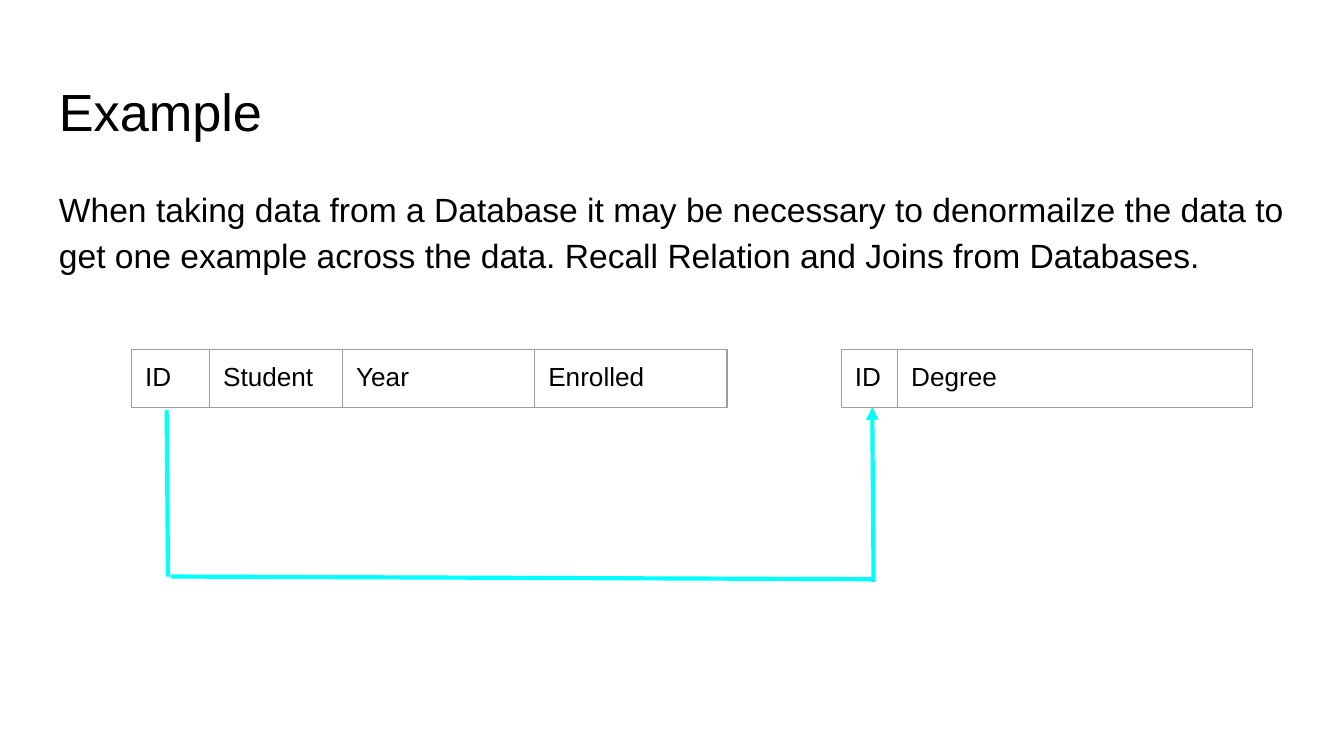
from lxml.etree import SubElement
from pptx import Presentation
from pptx.dml.color import RGBColor
from pptx.enum.shapes import MSO_CONNECTOR
from pptx.oxml.ns import qn
from pptx.util import Inches, Pt

COLORS = {"text": "000000", "border": "9E9E9E", "join": "00FFFF"}
FONT = "Arial"
MARGIN = 0.1
TABLE_TOP, ROW_HEIGHT = 2.6, 0.42

TEXTS = [
    ("Example", 28, 1, (0.34, 0.49, 9.32, 0.63)),
    ("When taking data from a Database it may be necessary to denormailze the data to "
     "get one example across the data. Recall Relation and Joins from Databases.",
     18, 1.15, (0.34, 1.26, 9.32, 3.74)),
]
TABLES = [
    (0.98, [("ID", 0.58), ("Student", 0.99), ("Year", 1.43), ("Enrolled", 1.43)]),
    (6.26, [("ID", 0.42), ("Degree", 2.64)]),
]
JOIN_LINES = [
    ((6.5, 4.33), (6.49, 3.03), True),
    ((1.24, 3.05), (1.25, 4.29), False),
    ((6.5, 4.31), (1.27, 4.29), False),
]


def set_text(frame, text, size, spacing=1):
    frame.text = text
    para = frame.paragraphs[0]
    para.line_spacing = spacing
    font = para.runs[0].font
    font.name, font.size = FONT, Pt(size)
    font.color.rgb = RGBColor.from_string(COLORS["text"])


def set_margins(target):
    target.margin_left = target.margin_right = Inches(MARGIN)
    target.margin_top = target.margin_bottom = Inches(MARGIN)


def add_text(slide, text, size, spacing, place):
    box = slide.shapes.add_textbox(*map(Inches, place))
    box.text_frame.word_wrap = True
    set_margins(box.text_frame)
    set_text(box.text_frame, text, size, spacing)


def add_borders(cell):
    properties = cell._tc.get_or_add_tcPr()
    for position, side in enumerate(("a:lnL", "a:lnR", "a:lnT", "a:lnB")):
        border = SubElement(properties, qn(side), w=str(Pt(0.75)))
        properties.remove(border)
        properties.insert(position, border)
        fill = SubElement(border, qn("a:solidFill"))
        SubElement(fill, qn("a:srgbClr"), val=COLORS["border"])


def add_relation(slide, left, fields):
    width = sum(field_width for _, field_width in fields)
    place = map(Inches, (left, TABLE_TOP, width, ROW_HEIGHT))
    table = slide.shapes.add_table(1, len(fields), *place).table
    table.first_row = table.horz_banding = False
    for column, (name, field_width) in enumerate(fields):
        table.columns[column].width = Inches(field_width)
        cell = table.cell(0, column)
        set_margins(cell)
        set_text(cell.text_frame, name, 14)
        cell.fill.background()
        add_borders(cell)


def add_join_line(slide, start, end, arrow):
    connector = slide.shapes.add_connector(
        MSO_CONNECTOR.STRAIGHT, *map(Inches, start + end))
    connector.line.width = Pt(2.25)
    connector.line.color.rgb = RGBColor.from_string(COLORS["join"])
    if arrow:
        SubElement(connector.line._get_or_add_ln(), qn("a:tailEnd"), type="triangle")
    SubElement(connector._element.spPr, qn("a:effectLst"))


def main():
    deck = Presentation()
    deck.slide_width = Inches(10)
    deck.slide_height = deck.slide_width * 9 // 16
    slide = deck.slides.add_slide(deck.slide_layouts[6])
    for text in TEXTS:
        add_text(slide, *text)
    for relation in TABLES:
        add_relation(slide, *relation)
    for join_line in JOIN_LINES:
        add_join_line(slide, *join_line)
    deck.save("out.pptx")


if __name__ == "__main__":
    main()
